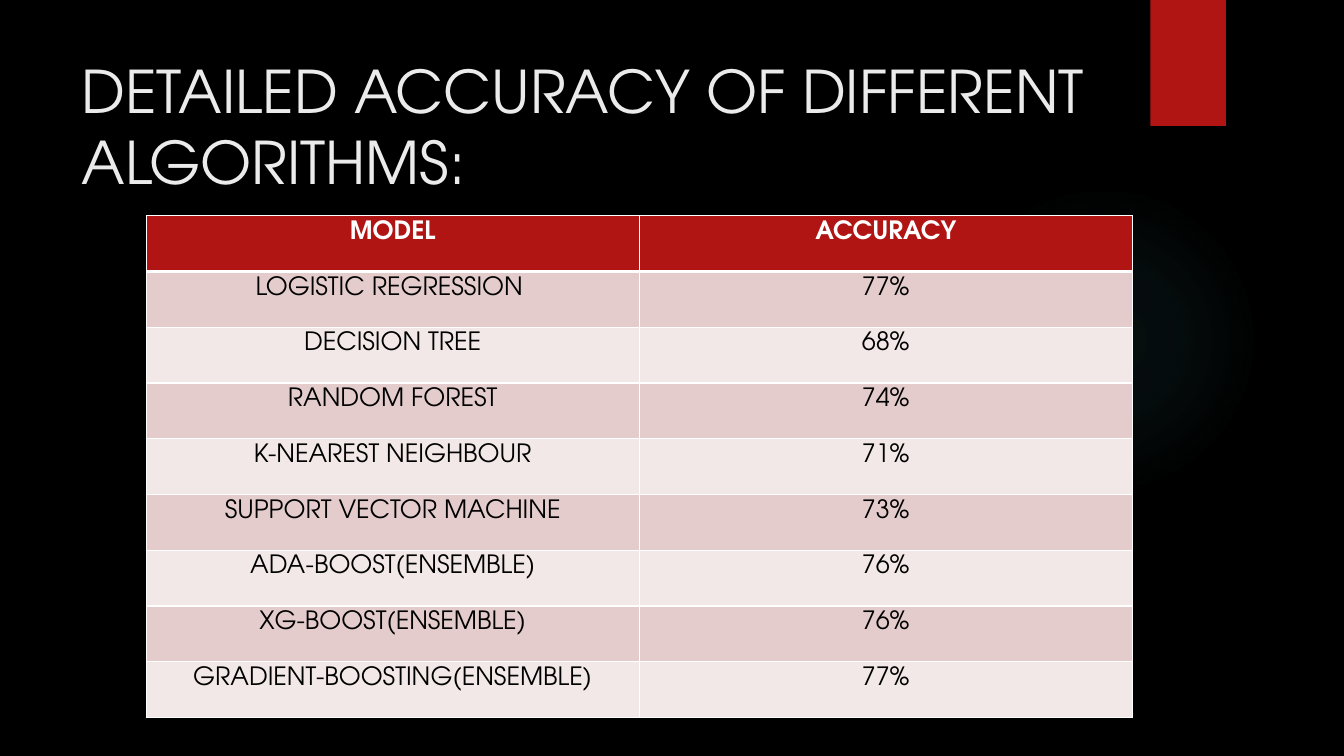
from lxml import etree
from pptx import Presentation
from pptx.dml.color import RGBColor
from pptx.enum.shapes import MSO_SHAPE as Shape
from pptx.enum.text import MSO_ANCHOR as Anchor, PP_ALIGN as Align
from pptx.oxml import parse_xml
from pptx.oxml.ns import qn
from pptx.util import Inches, Pt

# Content
TITLE = "DETAILED ACCURACY OF DIFFERENT ALGORITHMS:"
ROWS = [
    ("MODEL", "ACCURACY"),
    ("LOGISTIC REGRESSION ", "77%"),
    ("DECISION TREE", "68%"),
    ("RANDOM FOREST", "74%"),
    ("K-NEAREST NEIGHBOUR", "71%"),
    ("SUPPORT VECTOR MACHINE", "73%"),
    ("ADA-BOOST(ENSEMBLE)", "76%"),
    ("XG-BOOST(ENSEMBLE)", "76%"),
    ("GRADIENT-BOOSTING(ENSEMBLE)", "77%"),
]

# Look
BLACK = RGBColor(0x00, 0x00, 0x00)
WHITE = RGBColor(0xFF, 0xFF, 0xFF)
PALE = RGBColor(0xEB, 0xEB, 0xEB)
RED = RGBColor(0xB0, 0x15, 0x13)
TEAL = RGBColor(0x50, 0xB9, 0xC1)
BANDS = [RGBColor(0xF2, 0xE8, 0xE7), RGBColor(0xE4, 0xCC, 0xCC)]
FONT = "TeX Gyre Adventor"
HEAD = {"name": FONT, "size": Pt(42), "bold": False}
CELL = {"name": FONT, "size": Pt(18)}
GLOW = [(0, 7), (36, 6), (69, 0)]  # stop %, opacity %
THIN, THICK = 1, 3

# Places: left, top, width, height
GLOW_BOX = (9.41, 1.83, 3.08, 3.08)
TAB_BOX = (11.41, 0, 0.75, 1.25)
HEAD_BOX = (0.71, 0.48, 10.29, 1.53)
GRID_BOX = (1.45, 2.14, 9.78, 4.98)


def place(box):
    return [Inches(v) for v in box]


def write(frame, text, style, color, align):
    para = frame.paragraphs[0]
    para.alignment = align
    run = para.add_run()
    run.text = text
    for key, val in style.items():
        setattr(run.font, key, val)
    run.font.color.rgb = color


def add_plain(slide, kind, box):
    shape = slide.shapes.add_shape(kind, *place(box))
    shape.shadow.inherit = False
    shape.line.fill.background()
    return shape


def add_glow(slide):
    shape = add_plain(slide, Shape.OVAL, GLOW_BOX)
    stops = "".join(
        f'<a:gs pos="{pos * 1000}"><a:srgbClr val="{TEAL}">'
        f'<a:alpha val="{alpha * 1000}"/></a:srgbClr></a:gs>'
        for pos, alpha in GLOW)
    grad = parse_xml(
        '<a:gradFill xmlns:a="http://schemas.openxmlformats.org/drawingml/2006/main">'
        f'<a:gsLst>{stops}</a:gsLst><a:path path="circle">'
        '<a:fillToRect l="50000" t="50000" r="50000" b="50000"/>'
        '</a:path></a:gradFill>')
    shape._element.spPr.insert(2, grad)


def add_edge(cell, side, width):
    props = cell._tc.get_or_add_tcPr()
    line = etree.SubElement(props, qn(f"a:ln{side}"), w=str(Pt(width)))
    fill = etree.SubElement(line, qn("a:solidFill"))
    etree.SubElement(fill, qn("a:srgbClr"), val=str(WHITE))


def fill_cell(cell, text, row):
    top = THICK if row == 1 else THIN
    low = THICK if row == 0 else THIN
    for side, width in zip("LRTB", (THIN, THIN, top, low)):
        add_edge(cell, side, width)
    cell.fill.solid()
    cell.fill.fore_color.rgb = BANDS[row % 2] if row else RED
    cell.margin_top = cell.margin_bottom = Inches(0.05)
    write(cell.text_frame, text, {**CELL, "bold": row == 0},
          BLACK if row else WHITE, Align.CENTER)


def add_grid(slide):
    cols = len(ROWS[0])
    table = slide.shapes.add_table(len(ROWS), cols, *place(GRID_BOX)).table
    table.horz_banding = False
    for col in table.columns:
        col.width = Inches(GRID_BOX[2] / cols)
    for r, row in enumerate(ROWS):
        table.rows[r].height = Inches(GRID_BOX[3] / len(ROWS))
        for c, text in enumerate(row):
            fill_cell(table.cell(r, c), text, r)


def main():
    deck = Presentation()
    deck.slide_width, deck.slide_height = Inches(13.33), Inches(7.5)
    slide = deck.slides.add_slide(deck.slide_layouts[6])
    slide.background.fill.solid()
    slide.background.fill.fore_color.rgb = BLACK

    # Backdrop
    add_glow(slide)
    tab = add_plain(slide, Shape.RECTANGLE, TAB_BOX)
    tab.fill.solid()
    tab.fill.fore_color.rgb = RED

    # Title
    frame = slide.shapes.add_textbox(*place(HEAD_BOX)).text_frame
    frame.word_wrap = True
    frame.vertical_anchor = Anchor.MIDDLE
    write(frame, TITLE, HEAD, PALE, Align.LEFT)

    # Accuracy table
    add_grid(slide)
    deck.save("out.pptx")


if __name__ == "__main__":
    main()
